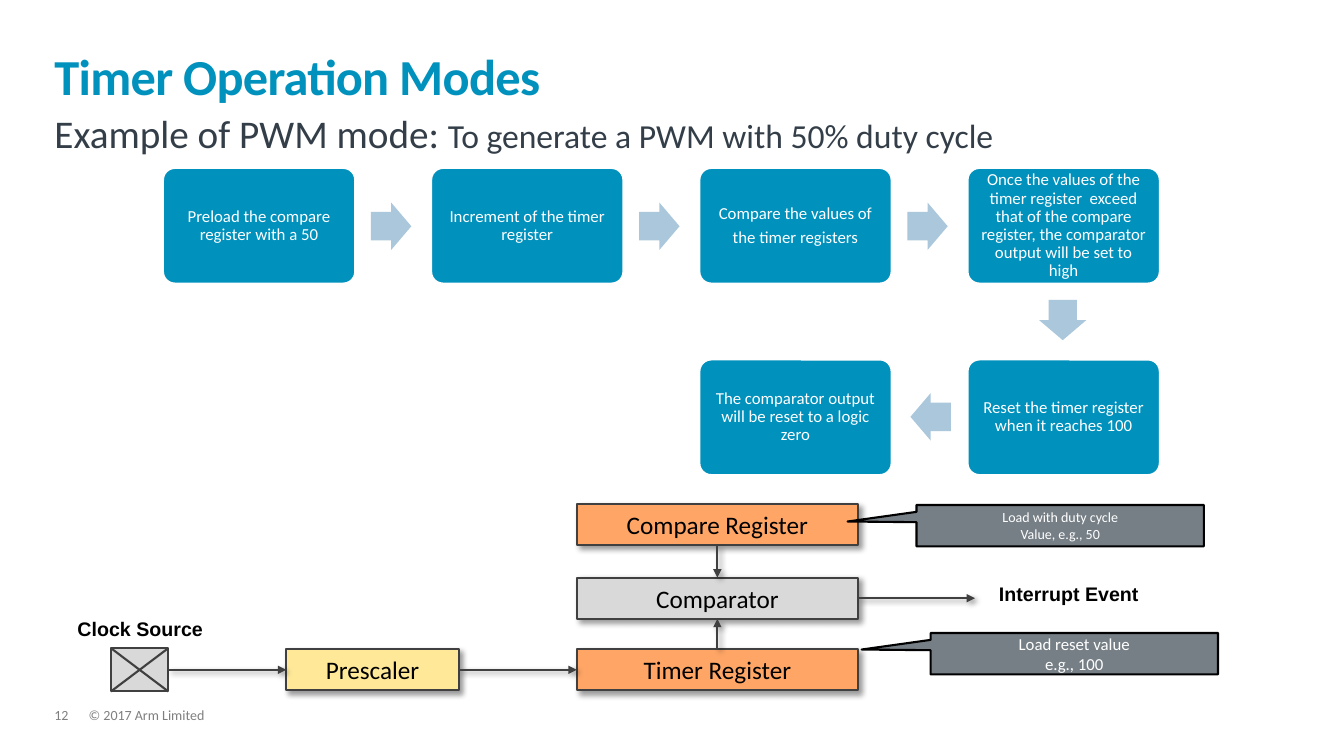
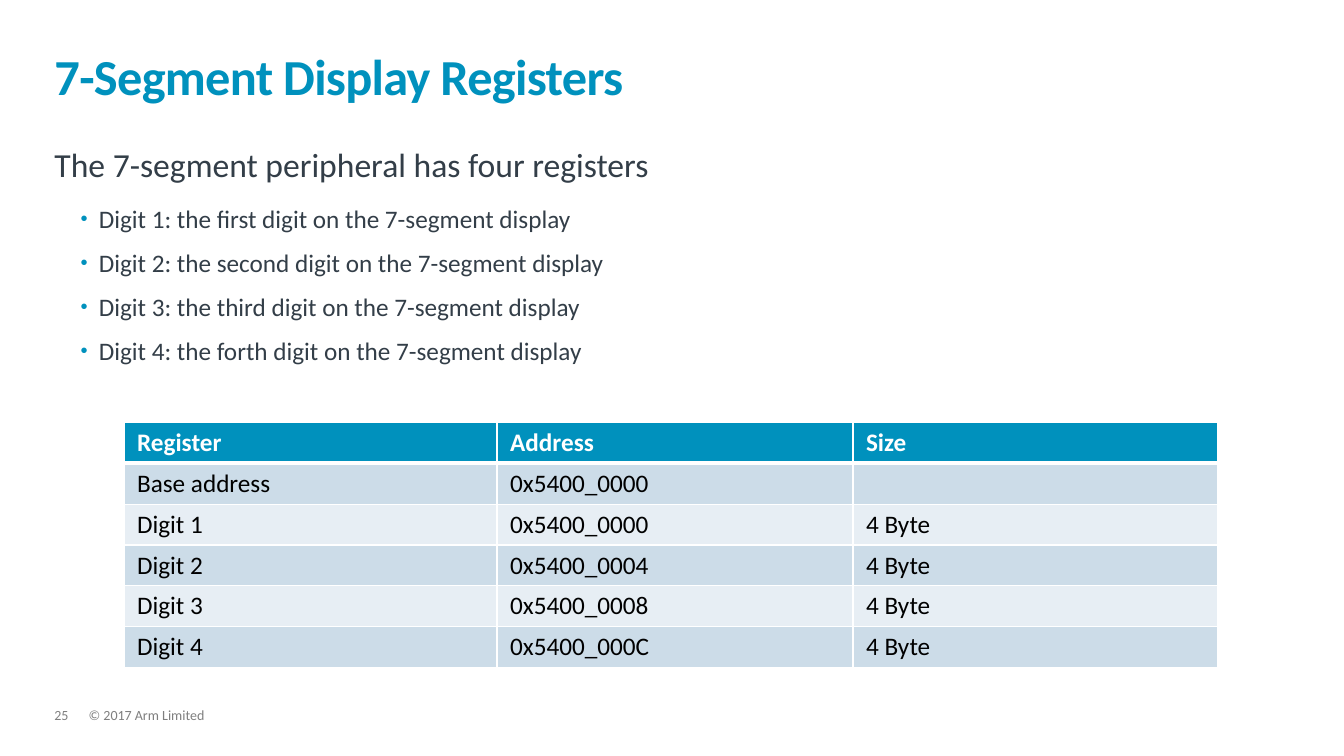
from pptx import Presentation
from pptx.dml.color import RGBColor
from pptx.enum.shapes import MSO_CONNECTOR, MSO_SHAPE as SHAPE
from pptx.enum.text import MSO_ANCHOR as ANCHOR, MSO_AUTO_SIZE, PP_ALIGN as ALIGN
from pptx.oxml import parse_xml
from pptx.oxml.ns import nsdecls
from pptx.util import Inches, Pt

TEAL = RGBColor(0x00, 0x91, 0xBD)
SLATE = RGBColor(0x33, 0x3E, 0x48)
PALE_BLUE = RGBColor(0xAB, 0xC7, 0xDB)
ORANGE = RGBColor(0xFF, 0xA6, 0x66)
YELLOW = RGBColor(0xFF, 0xE9, 0x99)
LIGHT_GRAY = RGBColor(0xD9, 0xD9, 0xD9)
FOOTER_GRAY = RGBColor(0x7F, 0x7F, 0x7F)
CALLOUT_GRAY = RGBColor(0x76, 0x7F, 0x86)
OUTLINE = RGBColor(0x40, 0x40, 0x40)
BAND_DARK = RGBColor(0xCC, 0xDC, 0xE8)
BAND_LIGHT = RGBColor(0xE7, 0xEE, 0xF4)
BLACK = RGBColor(0x00, 0x00, 0x00)
WHITE = RGBColor(0xFF, 0xFF, 0xFF)

FONT = "Calibri"
LABEL_FONT = "Arial"
LEFT, CONTENT_WIDTH = 0.54, 12.23
TOP, LEFT_SIDE, BOTTOM, RIGHT = range(4)
SHADOW = (
    '<a:outerShdw blurRad="50800" dist="38100" dir="2700000" algn="tl" rotWithShape="0">'
    '<a:srgbClr val="000000"><a:alpha val="40000"/></a:srgbClr></a:outerShdw>'
)


def inches(*lengths):
    return [Inches(length) for length in lengths]


def set_effects(item, shadow):
    """Give a shape or connector a soft shadow, or no effect at all."""
    properties = item._element.spPr
    for old in properties.findall("{*}effectLst"):
        properties.remove(old)
    effects = SHADOW if shadow else ""
    properties.append(parse_xml(f'<a:effectLst {nsdecls("a")}>{effects}</a:effectLst>'))


class SlideBuilder:
    """Shared style of the deck, and the slide being built."""

    def __init__(self):
        self.deck = Presentation()
        self.deck.slide_width, self.deck.slide_height = inches(13.33, 7.5)
        self.slide = None

    # Text
    def style(self, font, size, color, bold=False, name=FONT):
        font.name, font.size, font.bold = name, Pt(size), bold
        font.color.rgb = color

    def set_frame(self, frame, inset=None, anchor=ANCHOR.TOP, wrap=True):
        frame.word_wrap = wrap
        frame.auto_size = MSO_AUTO_SIZE.NONE
        frame.vertical_anchor = anchor
        if inset is not None:
            frame.margin_left = frame.margin_right = Inches(inset)
            frame.margin_top = frame.margin_bottom = Inches(inset)

    def set_text(self, frame, text, size, color, align=ALIGN.LEFT, spacing=None,
                 gap=0, bold=False, name=FONT):
        frame.text = text
        for index, para in enumerate(frame.paragraphs):
            para.alignment = align
            para.line_spacing = spacing
            if gap and index < len(frame.paragraphs) - 1:
                para.space_after = Pt(gap)
            for span in para.runs:
                self.style(span.font, size, color, bold, name)

    def label(self, text, at, size, color, inset=None, **style):
        box = self.slide.shapes.add_textbox(*inches(*at))
        self.set_frame(box.text_frame, inset)
        self.set_text(box.text_frame, text, size, color, **style)

    # Slide frame
    def new_slide(self, title, number):
        self.slide = self.deck.slides.add_slide(self.deck.slide_layouts[1])
        box = self.slide.shapes.title
        box.left, box.top, box.width, box.height = inches(LEFT, 0.32, CONTENT_WIDTH, 0.73)
        self.set_frame(box.text_frame, 0, ANCHOR.BOTTOM)
        self.set_text(box.text_frame, title, 36, TEAL, spacing=0.85, bold=True)
        box.text_frame.paragraphs[0].runs[0].font._element.set("spc", "-50")
        for text, left, width in ((str(number), LEFT, 0.34),
                                  ("© 2017 Arm Limited", 0.88, 9.13)):
            self.label(text, (left, 7.03, width, 0.15), 10, FOOTER_GRAY, 0, spacing=0.9)

    def body(self, top, height, heading, bullets=()):
        """Heading is a list of (text, size) spans; bullets are plain lines."""
        box = self.slide.placeholders[1]
        box.left, box.top, box.width, box.height = inches(LEFT, top, CONTENT_WIDTH, height)
        frame = box.text_frame
        self.set_frame(frame, 0)
        for index, spans in enumerate([heading] + [[(text, 18)] for text in bullets]):
            para = frame.add_paragraph() if index else frame.paragraphs[0]
            para.level = 1 if index else 0
            self.set_bullet(para, index > 0)
            para.alignment, para.line_spacing = ALIGN.LEFT, 0.9
            para.space_before, para.space_after = Pt(0), Pt(12 if index else 16)
            for text, size in spans:
                span = para.add_run()
                span.text = text
                self.style(span.font, size, SLATE)

    def set_bullet(self, para, bulleted):
        properties = para._p.get_or_add_pPr()
        properties.set("marL", str(Inches(0.44 if bulleted else 0)))
        properties.set("indent", str(Inches(-0.18 if bulleted else 0)))
        names = nsdecls("a")
        parts = [f"<a:buNone {names}/>"]
        if bulleted:
            parts = [
                f'<a:buClr {names}><a:srgbClr val="{TEAL}"/></a:buClr>',
                f'<a:buSzPct {names} val="80000"/>',
                f'<a:buFont {names} typeface="{LABEL_FONT}"/>',
                f'<a:buChar {names} char="•"/>',
            ]
        for part in parts:
            properties.append(parse_xml(part))

    # Shapes
    def shape(self, kind, at, fill, line=None, line_width=1.5, adjust=(), shadow=False):
        shape = self.slide.shapes.add_shape(kind, *inches(*at))
        for index, value in enumerate(adjust):
            shape.adjustments[index] = value
        shape.fill.solid()
        shape.fill.fore_color.rgb = fill
        if line is None:
            shape.line.fill.background()
        else:
            shape.line.color.rgb = line
            shape.line.width = Pt(line_width)
        shape.shadow.inherit = False
        if shadow:
            set_effects(shape, True)
        return shape

    def step(self, text, left, top):
        box = self.shape(SHAPE.ROUNDED_RECTANGLE, (left, top, 1.9, 1.14), TEAL, WHITE, 1, [0.1])
        self.set_frame(box.text_frame, 0.09, ANCHOR.MIDDLE)
        self.set_text(box.text_frame, text, 12, WHITE, ALIGN.CENTER, 0.9, gap=4.2)

    def flow_arrow(self, left, top, rotation=0):
        arrow = self.shape(SHAPE.RIGHT_ARROW, (left, top, 0.4, 0.47), PALE_BLUE, adjust=[0.6, 0.5])
        arrow.rotation = rotation

    def block(self, text, left, top, width, fill):
        box = self.shape(SHAPE.RECTANGLE, (left, top, width, 0.41), fill, OUTLINE, shadow=True)
        self.set_frame(box.text_frame, anchor=ANCHOR.MIDDLE, wrap=False)
        self.set_text(box.text_frame, text, 18, BLACK, ALIGN.CENTER)
        return box

    def callout(self, text, left, top, size):
        box = self.shape(SHAPE.RECTANGULAR_CALLOUT, (left, top, 2.85, 0.41), CALLOUT_GRAY,
                         BLACK, adjust=[-0.74, -0.1])
        self.set_frame(box.text_frame, anchor=ANCHOR.MIDDLE, wrap=False)
        self.set_text(box.text_frame, text, size, WHITE, ALIGN.CENTER)

    # Lines
    def line(self, start, end, shadow=False):
        line = self.slide.shapes.add_connector(MSO_CONNECTOR.STRAIGHT, *start, *end)
        line.line.color.rgb = OUTLINE
        line.line.width = Pt(1.5)
        set_effects(line, shadow)
        return line

    def signal(self, source, source_side, target=None, target_side=None, length=0):
        """Arrow from a block to another block, or to the right by a length."""
        start = (source.left + source.width, source.top + source.height // 2)
        end = (start[0] + Inches(length), start[1])
        arrow = self.line(start, end, shadow=True)
        arrow.begin_connect(source, source_side)
        if target is not None:
            arrow.end_connect(target, target_side)
        arrow.line._get_or_add_ln().append(
            parse_xml(f'<a:tailEnd {nsdecls("a")} type="triangle"/>'))

    # Table
    def table(self, at, widths, rows):
        table = self.slide.shapes.add_table(len(rows), len(widths), *inches(*at)).table
        for column, width in zip(table.columns, widths):
            column.width = Inches(width)
        for row_index, row in enumerate(rows):
            header = row_index == 0
            band = TEAL if header else BAND_DARK if row_index % 2 else BAND_LIGHT
            for column_index, text in enumerate(row):
                cell = table.cell(row_index, column_index)
                self.set_borders(cell, 3 if row_index == 1 else 1, 3 if header else 1)
                cell.fill.solid()
                cell.fill.fore_color.rgb = band
                cell.margin_left = cell.margin_right = Inches(0.13)
                if column_index == 0 and not header:
                    cell.vertical_anchor = ANCHOR.MIDDLE
                self.set_text(cell.text_frame, text, 18, WHITE if header else BLACK, bold=header)

    def set_borders(self, cell, top, bottom):
        properties = cell._tc.get_or_add_tcPr()
        for side, width in (("L", 1), ("R", 1), ("T", top), ("B", bottom)):
            properties.append(parse_xml(
                f'<a:ln{side} {nsdecls("a")} w="{int(Pt(width))}"><a:solidFill>'
                f'<a:srgbClr val="{WHITE}"/></a:solidFill></a:ln{side}>'))


def timer_slide(builder):
    builder.new_slide("Timer Operation Modes", 12)
    builder.body(1.14, 4.47, [("Example of PWM mode: ", 28),
                              ("To generate a PWM with 50% duty cycle", 24)])

    # Process steps: four to the right, one down, one back
    columns = [1.62 + 2.66 * index for index in range(4)]
    upper, lower = 1.67, 3.57
    steps = [
        "Preload the compare register with a 50",
        "Increment of the timer register",
        "Compare the values of\nthe timer registers",
        "Once the values of the timer register  exceed that of the compare register, "
        "the comparator output will be set to high",
    ]
    for text, left in zip(steps, columns):
        builder.step(text, left, upper)
    builder.step("Reset the timer register when it reaches 100", columns[3], lower)
    builder.step("The comparator output will be reset to a logic zero", columns[2], lower)
    for left in columns[:3]:
        builder.flow_arrow(left + 2.06, upper + 0.34)
    builder.flow_arrow(columns[3] + 0.74, upper + 1.27, 90)
    builder.flow_arrow(columns[2] + 2.09, lower + 0.33, 180)

    # Timer hardware
    timer = builder.block("Timer Register", 5.72, 6.44, 2.79, ORANGE)
    compare = builder.block("Compare Register", 5.72, 5, 2.79, ORANGE)
    comparator = builder.block("Comparator", 5.72, 5.73, 2.79, LIGHT_GRAY)
    prescaler = builder.block("Prescaler", 2.84, 6.44, 1.71, YELLOW)
    clock = builder.shape(SHAPE.RECTANGLE, (1.1, 6.43, 0.57, 0.43), LIGHT_GRAY, OUTLINE)
    right, bottom = clock.left + clock.width, clock.top + clock.height
    builder.line((clock.left, clock.top), (right, bottom))
    builder.line((right, clock.top), (clock.left, bottom))

    # Signals
    builder.signal(clock, RIGHT, prescaler, LEFT_SIDE)
    builder.signal(prescaler, RIGHT, timer, LEFT_SIDE)
    builder.signal(timer, TOP, comparator, BOTTOM)
    builder.signal(compare, BOTTOM, comparator, TOP)
    builder.signal(comparator, RIGHT, length=1.16)

    # Labels and callouts
    for text, at in (("Interrupt Event", (9.81, 5.72, 2.26, 0.34)),
                     ("Clock Source", (0.67, 6.07, 2, 0.34))):
        builder.label(text, at, 14, BLACK, bold=True, name=LABEL_FONT)
    builder.callout("Load with duty cycle\nValue, e.g., 50", 9.09, 5.01, 10)
    builder.callout("Load reset value\ne.g., 100", 9.23, 6.28, 12)


def display_slide(builder):
    builder.new_slide("7-Segment Display Registers", 25)
    ordinals = ["first", "second", "third", "forth"]
    builder.body(1.47, 2.84, [("The 7-segment peripheral has four registers", 24)],
                 [f"Digit {number}: the {ordinal} digit on the 7-segment display"
                  for number, ordinal in enumerate(ordinals, 1)])
    rows = [("Register", "Address", "Size"), ("Base address", "0x5400_0000", "")]
    rows += [(f"Digit {index + 1}", f"0x5400_{4 * index:04X}", "4 Byte") for index in range(4)]
    builder.table((1.23, 4.19, 10.85, 2.43), (3.7, 3.53, 3.62), rows)


def main():
    builder = SlideBuilder()
    timer_slide(builder)
    display_slide(builder)
    builder.deck.save("out.pptx")


if __name__ == "__main__":
    main()
